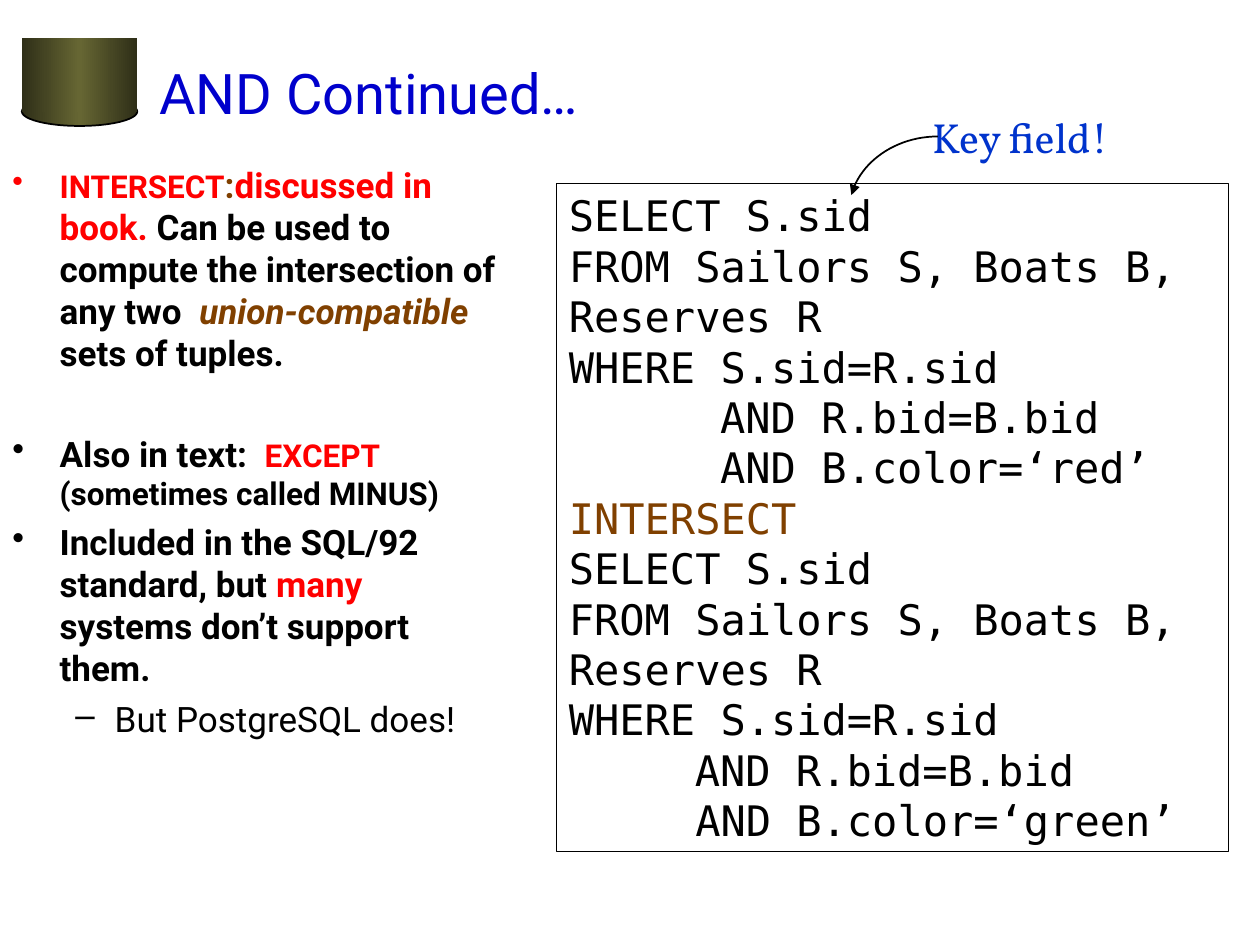
from copy import deepcopy
from pptx import Presentation
from pptx.dml.color import RGBColor
from pptx.enum.shapes import MSO_SHAPE as Preset
from pptx.enum.text import MSO_ANCHOR as Anchor, PP_ALIGN as Align
from pptx.oxml.ns import qn
from pptx.oxml.xmlchemy import OxmlElement as Element
from pptx.util import Pt


class Theme:
    black, red, brown = "000000", "FF0000", "804000"
    title_blue, note_blue = "0000CC", "0033CC"
    olive = [(0, "2F2F18"), (0.5, "666633"), (1, "2F2F18")]
    sans, mono, serif = "Roboto", "DejaVu Sans Mono", "Vollkorn"
    title_size, code_size, body_size, small_size = 32, 24, 20, 18


T = Theme

# Content
TITLE = "AND Continued…"
NOTE = "Key field!"
# Bullet: mark, mark colour, left margin, hang, space before, runs
# Run: text, size, colour, bold, italic
BULLETS = [
    ("•", T.red, 27, 27, 0, [
        ("INTERSECT", T.small_size, T.red, True, False),
        (":", T.body_size, T.brown, True, False),
        ("discussed in book. ", T.body_size, T.red, True, False),
        ("Can be used to compute the intersection of any two  ",
         T.body_size, T.black, True, False),
        ("union-compatible", T.body_size, T.brown, True, True),
        (" sets of tuples.", T.body_size, T.black, True, False)]),
    ("•", T.black, 27, 27, 33.5, [
        ("Also in text:  ", T.body_size, T.black, True, False),
        ("EXCEPT ", T.small_size, T.red, True, False),
        ("(sometimes called MINUS)", T.small_size, T.black, True, False)]),
    ("•", T.black, 27, 27, 5, [
        ("Included in the SQL/92 standard, but ",
         T.body_size, T.black, True, False),
        ("many", T.body_size, T.red, True, False),
        (" systems don’t support them.", T.body_size, T.black, True, False)]),
    ("–", T.black, 58.5, 22.5, 5, [
        ("But PostgreSQL does!", T.body_size, T.black, False, False)]),
]
QUERY_HEAD = ["SELECT S.sid", "FROM Sailors S, Boats B, \tReserves R",
              "WHERE S.sid=R.sid"]
CODE = [
    *QUERY_HEAD, "\t AND R.bid=B.bid", "\t AND B.color=‘red’",
    "INTERSECT",
    *QUERY_HEAD, "\tAND R.bid=B.bid", "     AND B.color=‘green’",
]

# Places: left, top, width, height
DRUM_BASE = (12.5, 55.5, 66, 16.5)
DRUM_BODY = (12.5, 21.5, 66, 42.5)
TITLE_BOX = (84, 9, 630, 87)
BODY_BOX = (0, 90, 294, 366)
CODE_BOX = (318, 105, 384, 381.6)
NOTE_BOX = (525.6, 60, 123, 36)
# Bézier control points from the code box up to the note
ARROW = [(486.5, 111.5), (491.5, 92.5), (512, 78), (536, 78)]
ARROW_STEPS = 24


def color(value):
    return RGBColor.from_string(value)


def add_run(paragraph, text, font, size, value, bold=False, italic=False):
    run = paragraph.add_run()
    run.text = text
    run.font.name, run.font.size = font, Pt(size)
    run.font.color.rgb = color(value)
    run.font.bold, run.font.italic = bold, italic


def add_text_box(slide, place, wrap=True, anchor=Anchor.TOP):
    frame = slide.shapes.add_textbox(*map(Pt, place)).text_frame
    frame.word_wrap, frame.vertical_anchor = wrap, anchor
    return frame


def next_paragraph(frame, index):
    return frame.add_paragraph() if index else frame.paragraphs[0]


def add_shape(slide, preset, place):
    shape = slide.shapes.add_shape(preset, *map(Pt, place))
    shape.shadow.inherit = False
    return shape


def set_line(shape, width):
    shape.line.color.rgb = color(T.black)
    shape.line.width = Pt(width)


def fill_olive(shape):
    shape.fill.gradient()
    shape.fill.gradient_angle = 0
    stop_list = shape._element.spPr.find(".//" + qn("a:gsLst"))
    stop_list.insert(1, deepcopy(stop_list[0]))
    for stop, (position, value) in zip(shape.fill.gradient_stops, T.olive):
        stop.position, stop.color.rgb = position, color(value)


def set_bullet(paragraph, mark, value, margin, hang):
    properties = paragraph._p.get_or_add_pPr()
    properties.set("marL", str(Pt(margin)))
    properties.set("indent", str(-Pt(hang)))
    bullet_color, rgb = Element("a:buClr"), Element("a:srgbClr")
    rgb.set("val", value)
    bullet_color.append(rgb)
    bullet = Element("a:buChar")
    bullet.set("char", mark)
    properties.extend([bullet_color, bullet])


def set_tabs(paragraph):
    tabs = Element("a:tabLst")
    for number in range(1, 8):
        tab = Element("a:tab")
        tab.set("pos", str(Pt(72 * number)))
        tab.set("algn", "l")
        tabs.append(tab)
    paragraph._p.get_or_add_pPr().append(tabs)


def curve_point(t):
    weights = ((1 - t) ** 3, 3 * t * (1 - t) ** 2, 3 * t * t * (1 - t), t ** 3)
    return tuple(Pt(sum(w * point[axis] for w, point in zip(weights, ARROW)))
                 for axis in (0, 1))


def add_arrow(slide):
    points = [curve_point(i / ARROW_STEPS) for i in range(ARROW_STEPS + 1)]
    builder = slide.shapes.build_freeform(*points[0])
    builder.add_line_segments(points[1:], close=False)
    arrow = builder.convert_to_shape()
    arrow.shadow.inherit = False
    arrow.fill.background()
    set_line(arrow, 1)
    head = Element("a:headEnd")
    head.set("type", "triangle")
    arrow.line._get_or_add_ln().append(head)


def main():
    presentation = Presentation()
    presentation.slide_width, presentation.slide_height = Pt(720), Pt(540)
    slide = presentation.slides.add_slide(presentation.slide_layouts[6])

    # Drum
    base = add_shape(slide, Preset.OVAL, DRUM_BASE)
    fill_olive(base)
    set_line(base, 1)
    body = add_shape(slide, Preset.RECTANGLE, DRUM_BODY)
    fill_olive(body)
    body.line.fill.background()

    # Title
    title = add_text_box(slide, TITLE_BOX, anchor=Anchor.MIDDLE)
    add_run(title.paragraphs[0], TITLE, T.sans, T.title_size, T.title_blue)

    # Bullets
    frame = add_text_box(slide, BODY_BOX)
    for index, (mark, value, margin, hang, before, runs) in enumerate(BULLETS):
        paragraph = next_paragraph(frame, index)
        set_bullet(paragraph, mark, value, margin, hang)
        paragraph.space_before = Pt(before)
        for text, *style in runs:
            add_run(paragraph, text, T.sans, *style)

    # Query
    box = add_shape(slide, Preset.RECTANGLE, CODE_BOX)
    box.fill.background()
    set_line(box, 0.75)
    frame = box.text_frame
    frame.word_wrap, frame.vertical_anchor = True, Anchor.TOP
    for index, text in enumerate(CODE):
        paragraph = next_paragraph(frame, index)
        paragraph.alignment = Align.LEFT
        set_tabs(paragraph)
        value = T.brown if text == "INTERSECT" else T.black
        add_run(paragraph, text, T.mono, T.code_size, value)

    # Note and its arrow
    note = add_text_box(slide, NOTE_BOX, wrap=False)
    add_run(note.paragraphs[0], NOTE, T.serif, T.code_size, T.note_blue)
    add_arrow(slide)

    presentation.save("out.pptx")


if __name__ == "__main__":
    main()
